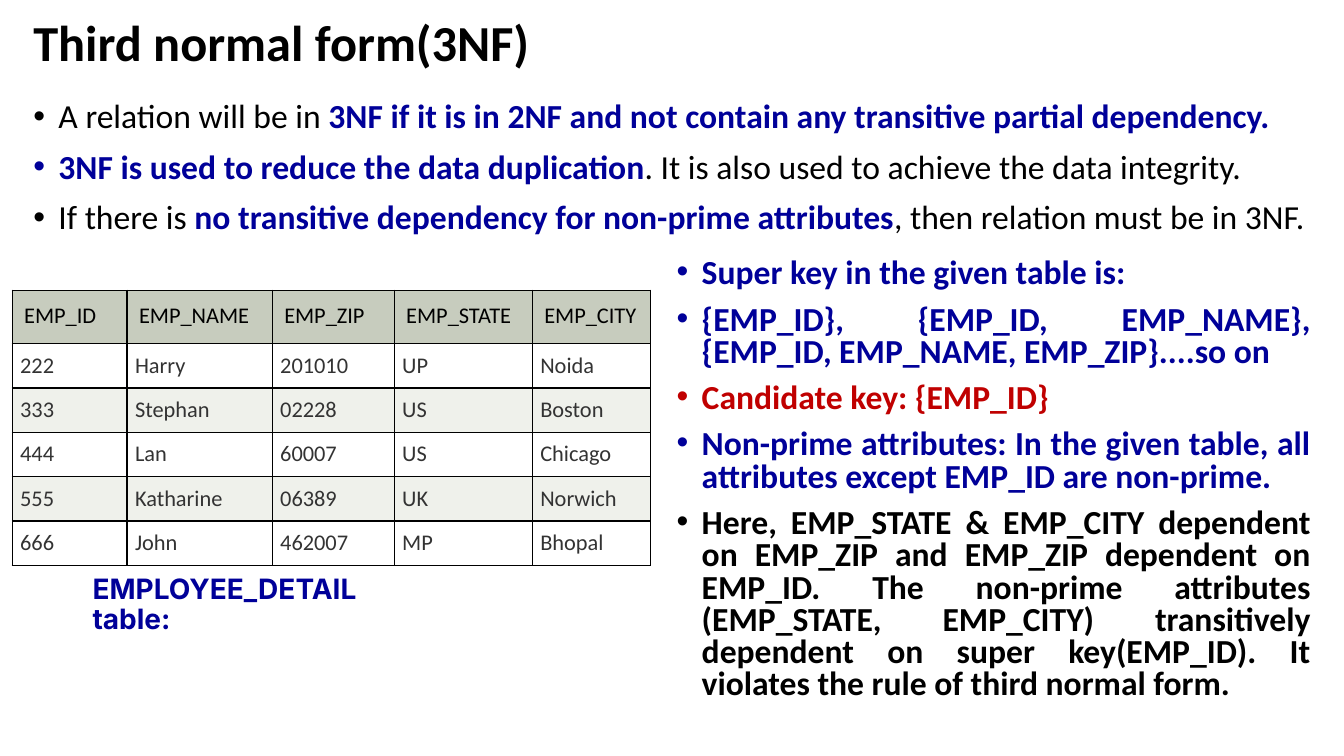
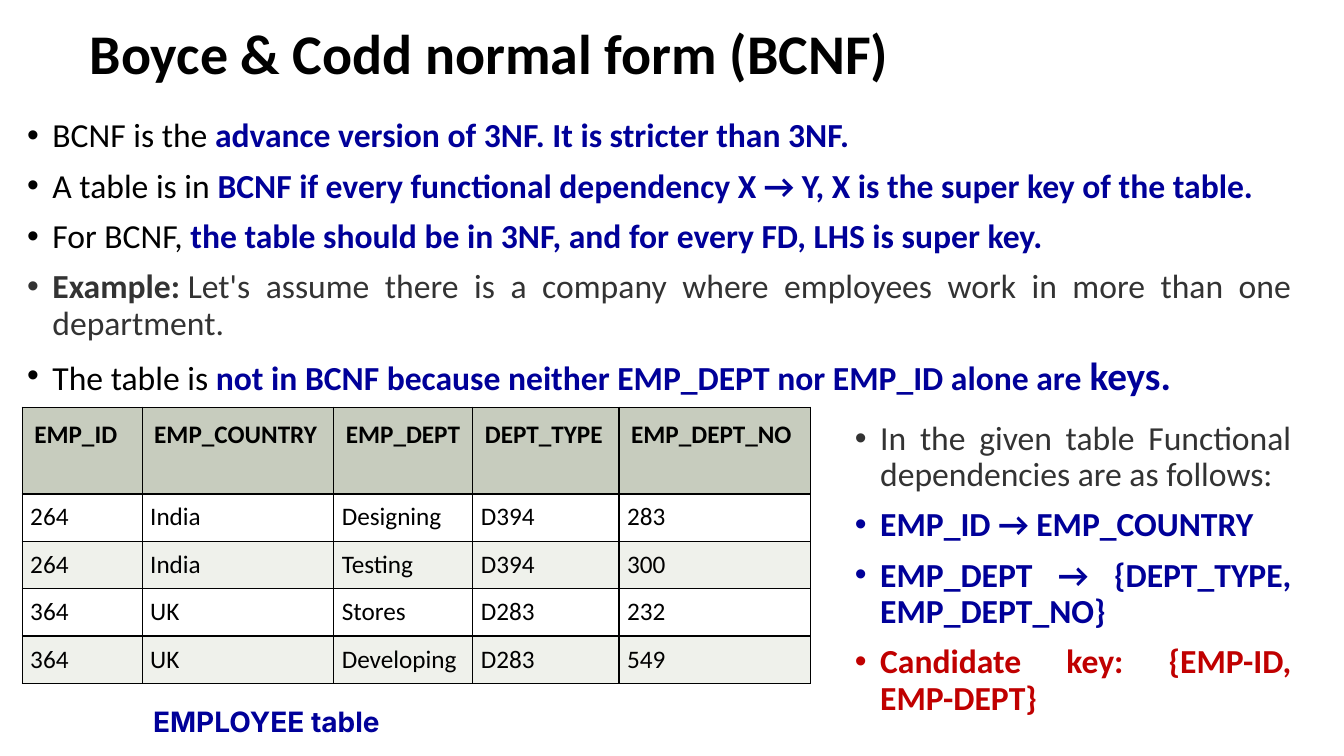
from lxml import etree
from pptx import Presentation
from pptx.dml.color import RGBColor
from pptx.enum.text import MSO_ANCHOR, MSO_AUTO_SIZE, PP_ALIGN
from pptx.oxml.ns import qn
from pptx.util import Inches, Pt

LEFT, JUST = PP_ALIGN.LEFT, PP_ALIGN.JUSTIFY
MIDDLE, TOP = MSO_ANCHOR.MIDDLE, MSO_ANCHOR.TOP
NO_FIT = MSO_AUTO_SIZE.NONE

COLORS = {"black": "000000", "gray": "333333", "blue": "000099",
          "red": "C00000", "head": "C7CCBE", "band": "EFF1EB",
          "white": "FFFFFF"}

# Run styles: colour and weight
STYLES = {"plain": ("black", False), "strong": ("black", True),
          "soft": ("gray", False), "label": ("gray", True),
          "key": ("blue", True), "alert": ("red", True)}


def write(frame, paras, size, font="Calibri", align=JUST, line=0.9,
          bullet=False):
    """Fill a text frame; a paragraph is a list of (text, style[, size])."""
    for i, runs in enumerate(paras):
        para = frame.paragraphs[0] if i == 0 else frame.add_paragraph()
        para.alignment = align
        para.line_spacing = line
        para.space_before = Pt(10 if i else 0)
        for text, style, *own in runs:
            color, bold = STYLES[style]
            run = para.add_run()
            run.text = text
            run.font.name = font
            run.font.size = Pt(own[0] if own else size)
            run.font.bold = bold
            run.font.color.rgb = RGBColor.from_string(COLORS[color])
        if bullet:
            props = para._p.get_or_add_pPr()
            props.set("marL", str(Inches(0.25)))
            props.set("indent", str(-Inches(0.25)))
            tint = etree.SubElement(props, qn("a:buClr"))
            first = COLORS[STYLES[runs[0][1]][0]]
            etree.SubElement(tint, qn("a:srgbClr"), val=first)
            etree.SubElement(props, qn("a:buFont"), typeface="Arial")
            etree.SubElement(props, qn("a:buChar"), char="•")


def place(shape, box, anchor=TOP):
    """Move a text shape to box and give it a fixed, wrapping frame."""
    shape.left, shape.top, shape.width, shape.height = map(Inches, box)
    frame = shape.text_frame
    frame.word_wrap = True
    frame.auto_size = NO_FIT
    frame.vertical_anchor = anchor
    return frame


PAGES = [
    {"title": ("Third normal form(3NF)", 36, (0.23, 0.17, 11.5, 0.56)),
     "body": ((0.23, 0.94, 12.87, 1.5), 0.9, [
         [("A relation will be in ", "plain"),
          ("3NF if it is in 2NF and not contain any transitive partial "
           "dependency.", "key")],
         [("3NF is used to reduce the data duplication", "key"),
          (". It is also used to achieve the data integrity.", "plain")],
         [("If there is ", "plain"),
          ("no transitive dependency for non-prime attributes", "key"),
          (", then relation must be in 3NF.", "plain")]]),
     "side": ((6.61, 2.52, 6.49, 4.7), 0.8, [
         [("Super key in the given table is:", "key")],
         [("{EMP_ID}, {EMP_ID, EMP_NAME}, {EMP_ID, EMP_NAME, "
           "EMP_ZIP}....so on", "key")],
         [("Candidate key: {EMP_ID}", "alert")],
         [("Non-prime attributes: In the given table, all attributes "
           "except EMP_ID are non-prime.", "key")],
         [("Here, EMP_STATE & EMP_CITY dependent on EMP_ZIP and EMP_ZIP "
           "dependent on EMP_ID. The non-prime attributes (EMP_STATE, "
           "EMP_CITY) transitively dependent on super key(EMP_ID). It "
           "violates the rule of third normal form.", "strong")]]),
     "table": {"at": (0.12, 2.88), "cols": [1.14, 1.44, 1.21, 1.37, 1.17],
               "heights": (0.53, 0.44), "size": 16,
               "styles": ("plain", "soft"),
               "rows": [
                   ["EMP_ID", "EMP_NAME", "EMP_ZIP", "EMP_STATE", "EMP_CITY"],
                   ["222", "Harry", "201010", "UP", "Noida"],
                   ["333", "Stephan", "02228", "US", "Boston"],
                   ["444", "Lan", "60007", "US", "Chicago"],
                   ["555", "Katharine", "06389", "UK", "Norwich"],
                   ["666", "John", "462007", "MP", "Bhopal"]]},
     "caption": ("EMPLOYEE_DETAIL table:", (0.82, 5.66, 3.53, 0.43))},
    {"title": ("Boyce & Codd normal form (BCNF)", 40,
               (0.79, 0.09, 11.5, 0.94)),
     "body": ((0.17, 1.13, 12.74, 2.9), 0.9, [
         [("BCNF is the ", "plain"),
          ("advance version of 3NF. It is stricter than 3NF.", "key")],
         [("A table is in ", "plain"),
          ("BCNF if every functional dependency X → Y, X is the super key "
           "of the table.", "key")],
         [("For BCNF, ", "plain"),
          ("the table should be in 3NF, and for every FD, LHS is super "
           "key.", "key")],
         [("Example:", "label"),
          ("\u00a0Let's assume there is a company where employees work in "
           "more than one department.", "soft")],
         [("The table is ", "plain"),
          ("not in BCNF because neither EMP_DEPT nor EMP_ID alone are ",
           "key"),
          ("keys.", "key", 28)]]),
     "side": ((8.38, 4.13, 4.53, 3.32), 0.9, [
         [("In the given table Functional dependencies are as follows:",
           "soft")],
         [("EMP_ID → EMP_COUNTRY", "key")],
         [("EMP_DEPT → {DEPT_TYPE, EMP_DEPT_NO}", "key")],
         [("Candidate key: {EMP-ID, EMP-DEPT}", "alert")]]),
     "table": {"at": (0.22, 4.04), "cols": [1.19, 1.9, 1.38, 1.45, 1.9],
               "heights": (0.86, 0.47), "size": 18,
               "styles": ("strong", "plain"),
               "rows": [
                   ["EMP_ID", "EMP_COUNTRY", "EMP_DEPT", "DEPT_TYPE",
                    "EMP_DEPT_NO"],
                   ["264", "India", "Designing", "D394", "283"],
                   ["264", "India", "Testing", "D394", "300"],
                   ["364", "UK", "Stores", "D283", "232"],
                   ["364", "UK", "Developing", "D283", "549"]]},
     "caption": ("EMPLOYEE table", (1.42, 6.98, 3.53, 0.43))},
]

deck = Presentation()
deck.slide_width, deck.slide_height = Inches(13.33), Inches(7.5)
layout = deck.slide_layouts.get_by_name("Two Content")

for page in PAGES:
    slide = deck.slides.add_slide(layout)

    # Title
    text, size, box = page["title"]
    frame = place(slide.shapes.title, box, MIDDLE)
    write(frame, [[(text, "strong")]], size, align=LEFT)

    # Bullet lists
    for slot, part in ((1, "body"), (2, "side")):
        box, line, paras = page[part]
        frame = place(slide.placeholders[slot], box)
        write(frame, paras, 24, line=line, bullet=True)

    # Table
    data = page["table"]
    rows, cols = data["rows"], data["cols"]
    high, low = data["heights"]
    x, y = data["at"]
    grid = slide.shapes.add_table(
        len(rows), len(cols), Inches(x), Inches(y), Inches(sum(cols)),
        Inches(high + low * (len(rows) - 1))).table
    for c, width in enumerate(cols):
        grid.columns[c].width = Inches(width)
    for r, row in enumerate(rows):
        head = r == 0
        grid.rows[r].height = Inches(high if head else low)
        fill = "head" if head else "white" if r % 2 else "band"
        pad = Inches(0.12 if head else 0.08)
        for c, text in enumerate(row):
            cell = grid.cell(r, c)
            cell.margin_left = cell.margin_right = pad
            cell.margin_top = cell.margin_bottom = pad
            props = cell._tc.get_or_add_tcPr()
            for side in "LRTB":
                edge = etree.SubElement(props, qn("a:ln" + side),
                                        w=str(Pt(1)))
                paint = etree.SubElement(edge, qn("a:solidFill"))
                etree.SubElement(paint, qn("a:srgbClr"), val=COLORS["black"])
            cell.fill.solid()
            cell.fill.fore_color.rgb = RGBColor.from_string(COLORS[fill])
            style = data["styles"][0 if head else 1]
            write(cell.text_frame, [[(text, style)]], data["size"],
                  align=LEFT if head else JUST, line=1.0)

    # Table caption
    text, box = page["caption"]
    note = slide.shapes.add_textbox(*map(Inches, box))
    write(place(note, box), [[(text, "key")]], 20, font="Inter")

deck.save("out.pptx")
